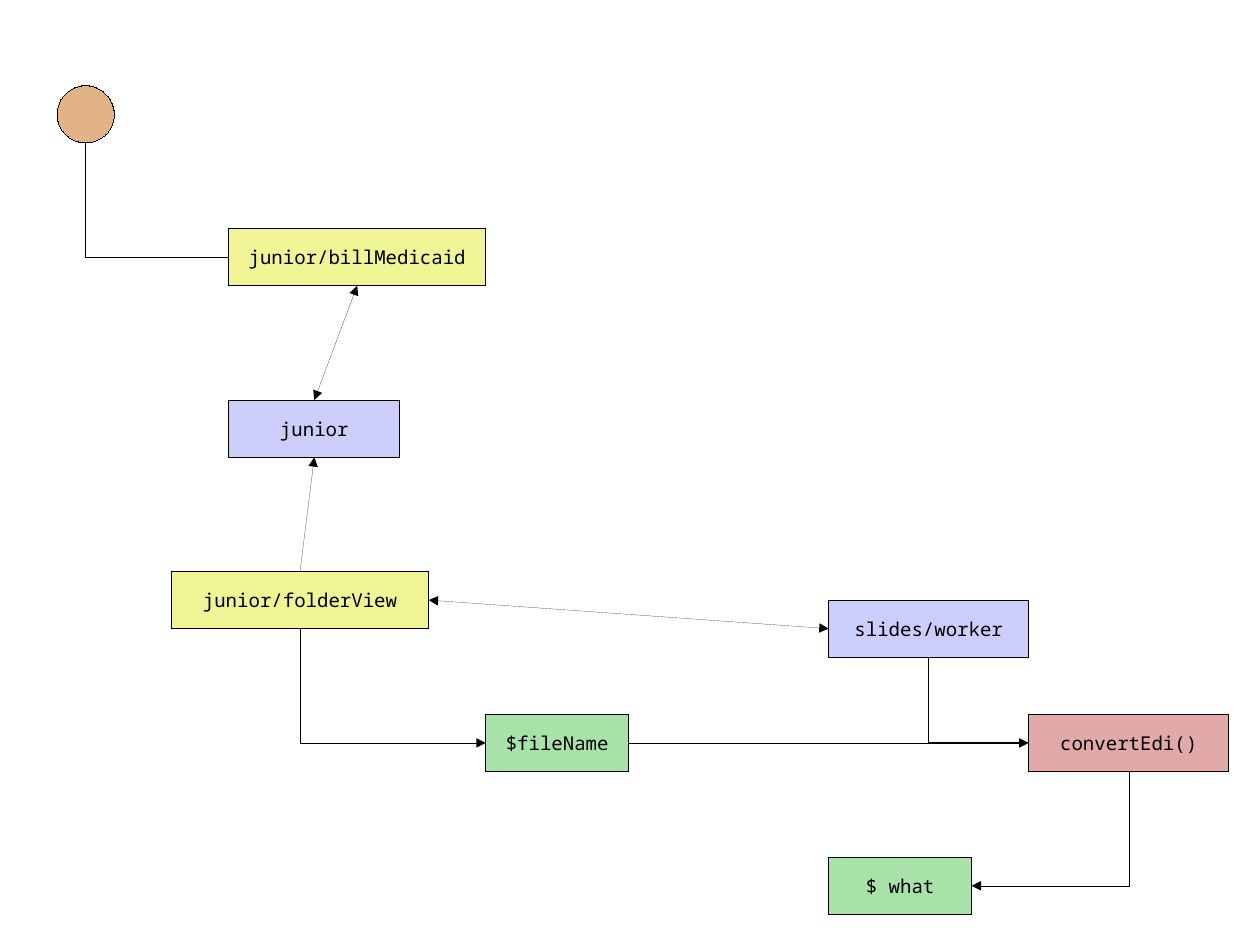
from dataclasses import dataclass

from lxml.etree import SubElement
from pptx import Presentation
from pptx.dml.color import RGBColor
from pptx.enum.shapes import MSO_CONNECTOR, MSO_SHAPE
from pptx.enum.text import MSO_ANCHOR, PP_ALIGN
from pptx.oxml.ns import qn
from pptx.util import Cm, Pt

PX = 9144  # EMU per px, 100 px to the inch
BLACK = "000000"
VIEW, MODULE, VALUE, CALL, START = "EFF494", "CDCDFB", "A9E2A9", "E2A9A9", "E2B387"
TOP, LEFT, BOTTOM, RIGHT = range(4)
PAGE = {"slide_width": Cm(28), "slide_height": Cm(21)}
FONT = {"name": "Noto Sans Mono", "size": Pt(12)}
FRAME = {"word_wrap": True, "vertical_anchor": MSO_ANCHOR.MIDDLE}


@dataclass
class Node:
    key: str
    x: int
    y: int
    w: int
    fill: str
    text: str = ""
    h: int = 50
    kind: MSO_SHAPE = MSO_SHAPE.RECTANGLE


@dataclass
class Link:
    start: str
    start_side: int
    end: str
    end_side: int
    head: bool = False
    tail: bool = True
    bent: bool = False


NODES = [
    Node("start", 50, 75, 50, START, kind=MSO_SHAPE.OVAL),
    Node("bill", 200, 200, 225, VIEW, "junior/billMedicaid"),
    Node("junior", 200, 350, 150, MODULE, "junior"),
    Node("folder", 150, 500, 225, VIEW, "junior/folderView"),
    Node("worker", 725, 525, 175, MODULE, "slides/worker"),
    Node("convert", 900, 625, 175, CALL, "convertEdi()"),
    Node("file", 425, 625, 125, VALUE, "$fileName"),
    Node("what", 725, 750, 125, VALUE, "$ what"),
]
LINKS = [
    Link("start", BOTTOM, "bill", LEFT, tail=False, bent=True),
    Link("bill", BOTTOM, "junior", TOP, head=True),
    Link("folder", TOP, "junior", BOTTOM),
    Link("folder", RIGHT, "worker", LEFT, head=True),
    Link("worker", BOTTOM, "convert", LEFT, tail=False, bent=True),
    Link("folder", BOTTOM, "file", LEFT, bent=True),
    Link("file", RIGHT, "convert", LEFT),
    Link("convert", BOTTOM, "what", RIGHT, bent=True),
]


def rgb(color: str) -> RGBColor:
    return RGBColor.from_string(color)


def set_attrs(obj, values: dict) -> None:
    for name, value in values.items():
        setattr(obj, name, value)


def set_hairline(line):
    """Colour the line black and write its zero width, which line.width leaves out."""
    line.color.rgb = rgb(BLACK)
    ln = line._get_or_add_ln()
    ln.set("w", "0")
    return ln


def add_node(slide, node: Node):
    sp = slide.shapes.add_shape(node.kind, *(v * PX for v in (node.x, node.y, node.w, node.h)))
    sp.shadow.inherit = False
    sp.fill.solid()
    sp.fill.fore_color.rgb = rgb(node.fill)
    set_hairline(sp.line)
    if node.text:
        tf = sp.text_frame
        set_attrs(tf, FRAME)
        p = tf.paragraphs[0]
        p.alignment = PP_ALIGN.CENTER
        r = p.add_run()
        r.text = node.text
        set_attrs(r.font, FONT)
        r.font.color.rgb = rgb(BLACK)
    return sp


def side_point(sp, side: int) -> tuple[int, int]:
    dx, dy = {TOP: (1, 0), LEFT: (0, 1), BOTTOM: (1, 2), RIGHT: (2, 1)}[side]
    return sp.left + sp.width * dx // 2, sp.top + sp.height * dy // 2


def bend(cxn, x1: int, y1: int, x2: int, y2: int) -> None:
    """Turn the connector into one corner, going down first and then sideways."""
    w, h = y2 - y1, abs(x2 - x1)
    set_attrs(cxn, {"left": (x1 + x2 - w) // 2, "top": (y1 + y2 - h) // 2, "width": w, "height": h})
    pr = cxn._element.spPr
    pr.find(qn("a:prstGeom")).set("prst", "bentConnector2")
    xfrm = pr.find(qn("a:xfrm"))
    rightward = x2 > x1
    xfrm.set("rot", str((270 if rightward else 90) * 60000))
    xfrm.set("flipH", str(int(rightward)))


def add_link(slide, link: Link, shapes: dict) -> None:
    start, end = shapes[link.start], shapes[link.end]
    ends = *side_point(start, link.start_side), *side_point(end, link.end_side)
    kind = MSO_CONNECTOR.ELBOW if link.bent else MSO_CONNECTOR.STRAIGHT
    cxn = slide.shapes.add_connector(kind, *ends)
    if link.bent:
        bend(cxn, *ends)
    else:
        cxn.begin_connect(start, link.start_side)
        cxn.end_connect(end, link.end_side)
    ln = set_hairline(cxn.line)
    for tag, shown in (("a:headEnd", link.head), ("a:tailEnd", link.tail)):
        if shown:
            SubElement(ln, qn(tag), type="triangle")
    SubElement(cxn._element.spPr, qn("a:effectLst"))


def main() -> None:
    prs = Presentation()
    set_attrs(prs, PAGE)
    slide = prs.slides.add_slide(prs.slide_layouts[6])
    shapes = {node.key: add_node(slide, node) for node in NODES}
    for link in LINKS:
        add_link(slide, link, shapes)
    prs.save("out.pptx")


if __name__ == "__main__":
    main()
